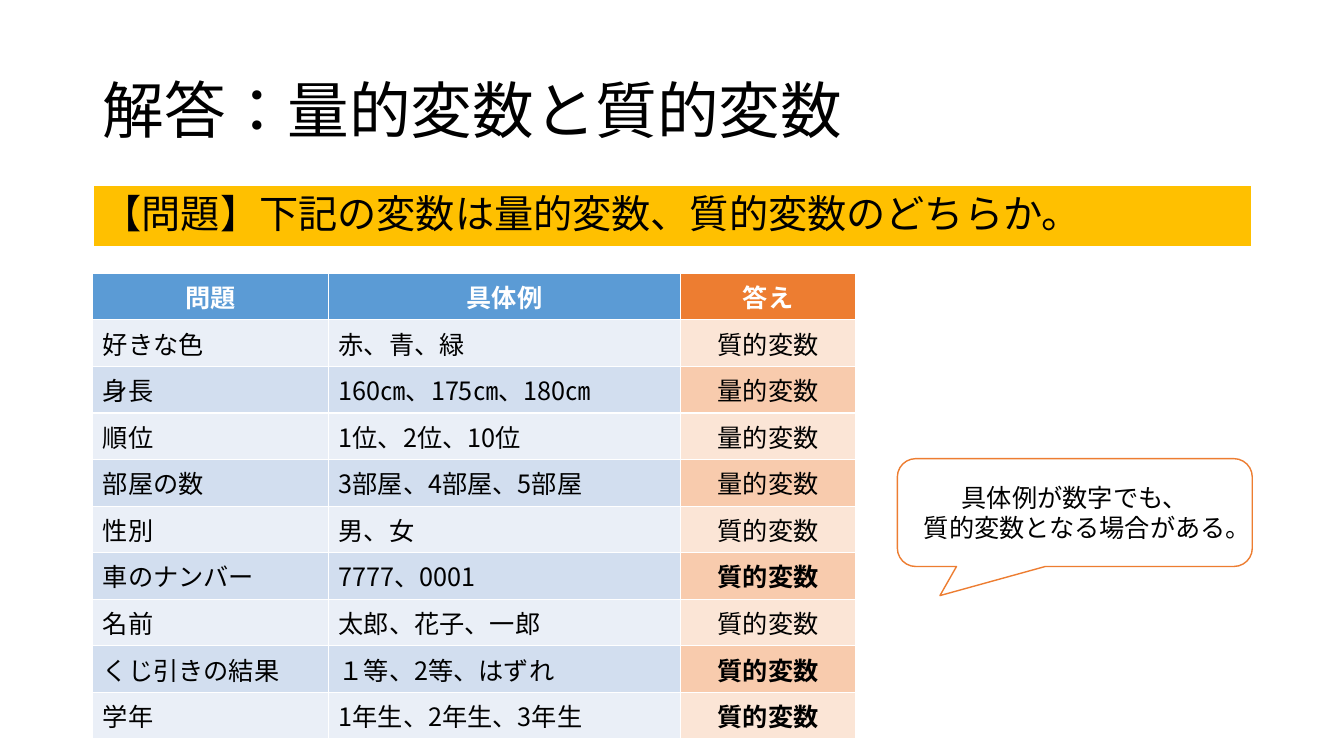
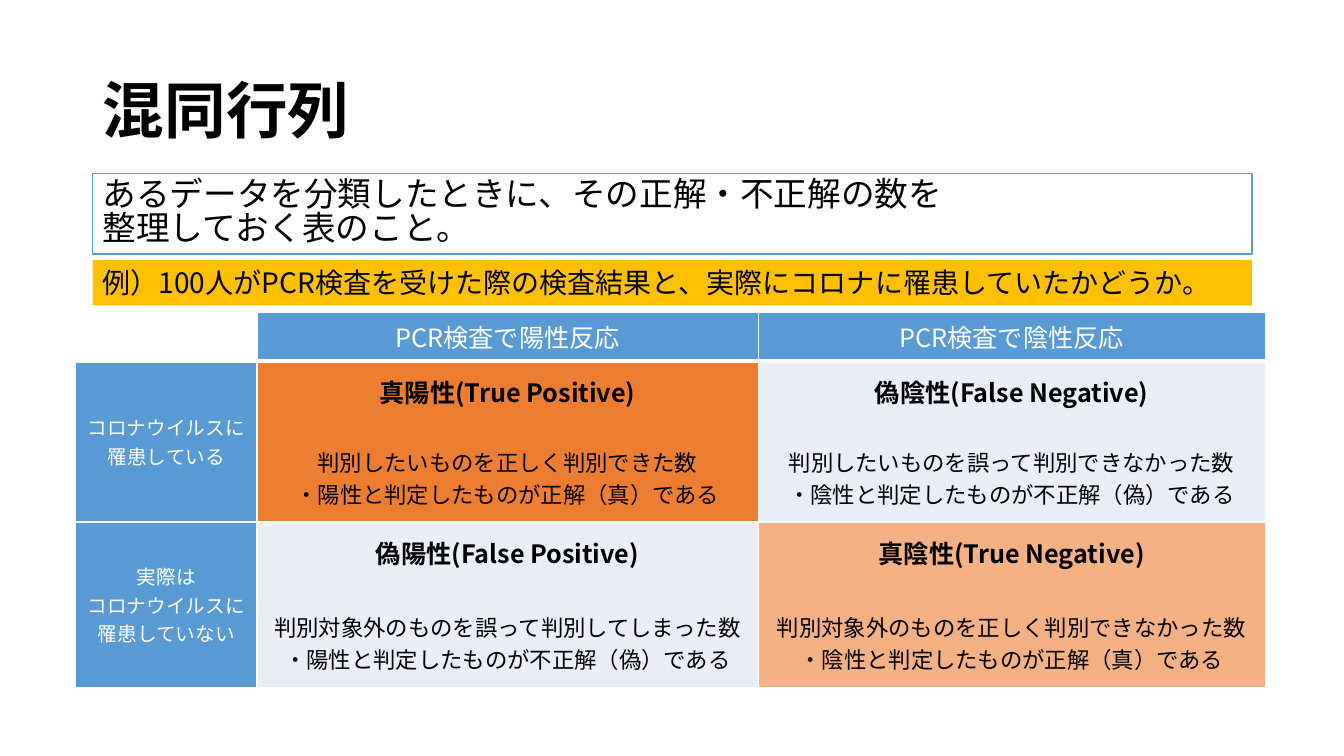
from dataclasses import dataclass
from itertools import accumulate
from typing import NamedTuple

from lxml import etree
from pptx import Presentation
from pptx.dml.color import RGBColor
from pptx.enum.lang import MSO_LANGUAGE_ID
from pptx.enum.shapes import MSO_SHAPE
from pptx.enum.text import MSO_ANCHOR, MSO_AUTO_SIZE, PP_ALIGN
from pptx.oxml.ns import qn
from pptx.util import Inches, Pt

LEFT, CENTER = PP_ALIGN.LEFT, PP_ALIGN.CENTER
TOP, MIDDLE = MSO_ANCHOR.TOP, MSO_ANCHOR.MIDDLE
RECTANGLE, CALLOUT = MSO_SHAPE.RECTANGLE, MSO_SHAPE.ROUNDED_RECTANGULAR_CALLOUT
JAPANESE = MSO_LANGUAGE_ID.JAPANESE
NO_FIT = MSO_AUTO_SIZE.NONE
TITLE_ONLY = 5
GRID = 100
SIDES = ("L", "R", "T", "B")


@dataclass(frozen=True)
class Theme:
    font: str = "Noto Sans CJK JP"
    ink: str = "000000"
    paper: str = "FFFFFF"
    blue: str = "5B9BD5"
    orange: str = "ED7D31"
    soft_orange: str = "F4B183"
    gold: str = "FFC000"
    blue_bands: tuple[str, str] = ("EAEFF7", "D2DEEF")
    orange_bands: tuple[str, str] = ("FBE5D6", "F8CBAD")
    title: int = 44
    banner: int = 28
    lead: int = 24
    example: int = 20
    body: int = 18
    detail: int = 16
    label: int = 14


THEME = Theme()


class Area(NamedTuple):
    column: float
    row: float
    columns: float
    rows: float


@dataclass(frozen=True)
class Line:
    text: str
    size: int = THEME.body
    color: str = THEME.ink
    bold: bool = False
    align: PP_ALIGN = CENTER
    spacing: float = 1.0
    before: int = 0


@dataclass(frozen=True)
class Panel:
    area: Area
    lines: list[Line]
    fill: str | None = None
    border: str | None = None
    weight: float = 1
    form: MSO_SHAPE = RECTANGLE
    adjustments: tuple[float, ...] = ()


@dataclass(frozen=True)
class Cell:
    lines: list[Line]
    fill: str
    anchor: MSO_ANCHOR = MIDDLE
    bottom: float = 1


class Question(NamedTuple):
    name: str
    examples: str
    answer: str
    stressed: bool = False


class Outcome(NamedTuple):
    name: str
    meaning: str
    verdict: str
    fill: str
    gap: int


deck = Presentation()
deck.slide_width, deck.slide_height = Inches(13.33), Inches(7.5)


def across(columns: float) -> int:
    return round(deck.slide_width * columns / GRID)


def down(rows: float) -> int:
    return round(deck.slide_height * rows / GRID)


def place(area: Area) -> tuple[int, int, int, int]:
    return across(area.column), down(area.row), across(area.columns), down(area.rows)


def apply(target, formats: dict) -> None:
    for name, value in formats.items():
        setattr(target, name, value)


def write(frame, lines: list[Line]) -> None:
    for index, line in enumerate(lines):
        para = frame.add_paragraph() if index else frame.paragraphs[0]
        apply(para, {"alignment": line.align, "line_spacing": line.spacing,
                     "space_before": Pt(line.before)})
        span = para.add_run()
        span.text = line.text
        span.font.color.rgb = RGBColor.from_string(line.color)
        apply(span.font, {"name": THEME.font, "size": Pt(line.size),
                          "bold": line.bold, "language_id": JAPANESE})
        etree.SubElement(span.font._element, qn("a:ea"), typeface=THEME.font)


def paint(fill, color: str | None) -> None:
    if color is None:
        fill.background()
    else:
        fill.solid()
        fill.fore_color.rgb = RGBColor.from_string(color)


def add_page(heading: str, bold: bool = False):
    page = deck.slides.add_slide(deck.slide_layouts[TITLE_ONLY])
    title = page.shapes.title
    left, top, width, height = place(TITLE_AREA)
    apply(title, {"left": left, "top": top, "width": width, "height": height})
    apply(title.text_frame, {"vertical_anchor": MIDDLE, "word_wrap": True, "auto_size": NO_FIT})
    write(title.text_frame, [Line(heading, THEME.title, bold=bold, align=LEFT, spacing=0.9)])
    return page


def add_panel(page, panel: Panel) -> None:
    box = page.shapes.add_shape(panel.form, *place(panel.area))
    box.shadow.inherit = False
    for index, value in enumerate(panel.adjustments):
        box.adjustments[index] = value
    paint(box.fill, panel.fill)
    paint(box.line.fill, panel.border)
    if panel.border:
        box.line.width = Pt(panel.weight)
    apply(box.text_frame, {"vertical_anchor": MIDDLE, "word_wrap": True})
    write(box.text_frame, panel.lines)


def add_border(properties, side: str, weight: float) -> None:
    edge = etree.SubElement(properties, qn(f"a:ln{side}"), w=str(Pt(weight)))
    solid = etree.SubElement(edge, qn("a:solidFill"))
    etree.SubElement(solid, qn("a:srgbClr"), val=THEME.paper)


def add_grid(page, column: float, row: float, widths: list[float],
             heights: list[float], cells: list[list[Cell]]) -> None:
    area = Area(column, row, sum(widths), sum(heights))
    table = page.shapes.add_table(len(heights), len(widths), *place(area)).table
    apply(table, {"first_row": False, "horz_banding": False})
    for index, width in enumerate(widths):
        table.columns[index].width = across(width)
    for row_index, (height, entries) in enumerate(zip(heights, cells)):
        table.rows[row_index].height = down(height)
        for column_index, entry in enumerate(entries):
            cell = table.cell(row_index, column_index)
            cell.vertical_anchor = entry.anchor
            properties = cell._tc.get_or_add_tcPr()
            for side in SIDES:
                add_border(properties, side, entry.bottom if side == "B" else 1)
            paint(cell.fill, entry.fill)
            write(cell.text_frame, entry.lines)


MARGIN, SPAN = 6.9, 86.25
TITLE_AREA = Area(MARGIN, 5.33, SPAN, 19.33)
QUALITATIVE, QUANTITATIVE = "質的変数", "量的変数"

QUESTIONS = [
    Question("好きな色", "赤、青、緑", QUALITATIVE),
    Question("身長", "160㎝、175㎝、180㎝", QUANTITATIVE),
    Question("順位", "1位、2位、10位", QUANTITATIVE),
    Question("部屋の数", "3部屋、4部屋、5部屋", QUANTITATIVE),
    Question("性別", "男、女", QUALITATIVE),
    Question("車のナンバー", "7777、0001", QUALITATIVE, True),
    Question("名前", "太郎、花子、一郎", QUALITATIVE),
    Question("くじ引きの結果", "１等、2等、はずれ", QUALITATIVE, True),
    Question("学年", "1年生、2年生、3年生", QUALITATIVE, True),
]

OUTCOMES = [
    [
        Outcome("真陽性(True Positive)", "判別したいものを正しく判別できた数",
                "・陽性と判定したものが正解（真）である", THEME.orange, 26),
        Outcome("偽陰性(False Negative)", "判別したいものを誤って判別できなかった数",
                "・陰性と判定したものが不正解（偽）である", THEME.blue_bands[0], 26),
    ],
    [
        Outcome("偽陽性(False Positive)", "判別対象外のものを誤って判別してしまった数",
                "・陽性と判定したものが不正解（偽）である", THEME.blue_bands[0], 28),
        Outcome("真陰性(True Negative)", "判別対象外のものを正しく判別できなかった数",
                "・陰性と判定したものが正解（真）である", THEME.soft_orange, 28),
    ],
]

CONDITIONS = [
    ["コロナウイルスに", "罹患している"],
    ["実際は", "コロナウイルスに", "罹患していない"],
]


def question_row(index: int, question: Question) -> list[Cell]:
    blue, orange = THEME.blue_bands[index % 2], THEME.orange_bands[index % 2]
    facts = [Cell([Line(text, align=LEFT)], blue, TOP)
             for text in (question.name, question.examples)]
    return [*facts, Cell([Line(question.answer, bold=question.stressed)], orange, TOP)]


def outcome_cell(outcome: Outcome) -> Cell:
    return Cell([Line(outcome.name, bold=True),
                 Line(outcome.meaning, THEME.detail, before=outcome.gap),
                 Line(outcome.verdict, THEME.detail)], outcome.fill)


def build_answers() -> None:
    page = add_page("解答：量的変数と質的変数")
    add_panel(page, Panel(
        Area(MARGIN, 24.53, SPAN, 8.13),
        [Line("【問題】下記の変数は量的変数、質的変数のどちらか。", THEME.banner,
              align=LEFT, spacing=0.9, before=10)],
        THEME.gold, THEME.paper, 1.5))
    headings = zip(("問題", "具体例", "答え"), (THEME.blue, THEME.blue, THEME.orange))
    header = [Cell([Line(text, color=THEME.paper, bold=True)], fill, TOP)
              for text, fill in headings]
    cells = [header, *(question_row(*item) for item in enumerate(QUESTIONS))]
    add_grid(page, MARGIN, 36.13, [17.55, 26.18, 13.05], [5.41] * len(cells), cells)
    add_panel(page, Panel(
        Area(66.77, 60.67, 26.41, 14.27),
        [Line("具体例が数字でも、"), Line("質的変数となる場合がある。")],
        THEME.paper, THEME.orange, form=CALLOUT, adjustments=(-0.38, 0.77, 0.17)))


def build_matrix() -> None:
    page = add_page("混同行列", bold=True)
    header = [Cell([], THEME.paper, bottom=3)]
    header += [Cell([Line(f"PCR検査で{sign}性反応", color=THEME.paper)], THEME.blue, bottom=3)
               for sign in ("陽", "陰")]
    cells = [header]
    for condition, outcomes in zip(CONDITIONS, OUTCOMES):
        labels = [Line(text, THEME.label, THEME.paper) for text in condition]
        cells.append([Cell(labels, THEME.blue), *map(outcome_cell, outcomes)])
    add_grid(page, 5.63, 41.33, [13.5, 37.28, 37.73], [6.4, 21.33, 21.87], cells)
    definition = ["あるデータを分類したときに、その正解・不正解の数を", "整理しておく表のこと。"]
    heights, gap = (10.67, 6), 0.8
    tops = accumulate((22.93, heights[0] + gap))
    description, example = (Area(MARGIN, top, SPAN, height) for top, height in zip(tops, heights))
    add_panel(page, Panel(
        description,
        [Line(text, THEME.lead, align=LEFT, spacing=0.84) for text in definition],
        border=THEME.blue))
    add_panel(page, Panel(
        example,
        [Line("例）100人がPCR検査を受けた際の検査結果と、実際にコロナに罹患していたかどうか。",
              THEME.example, align=LEFT)],
        THEME.gold))


build_answers()
build_matrix()
deck.save("out.pptx")
